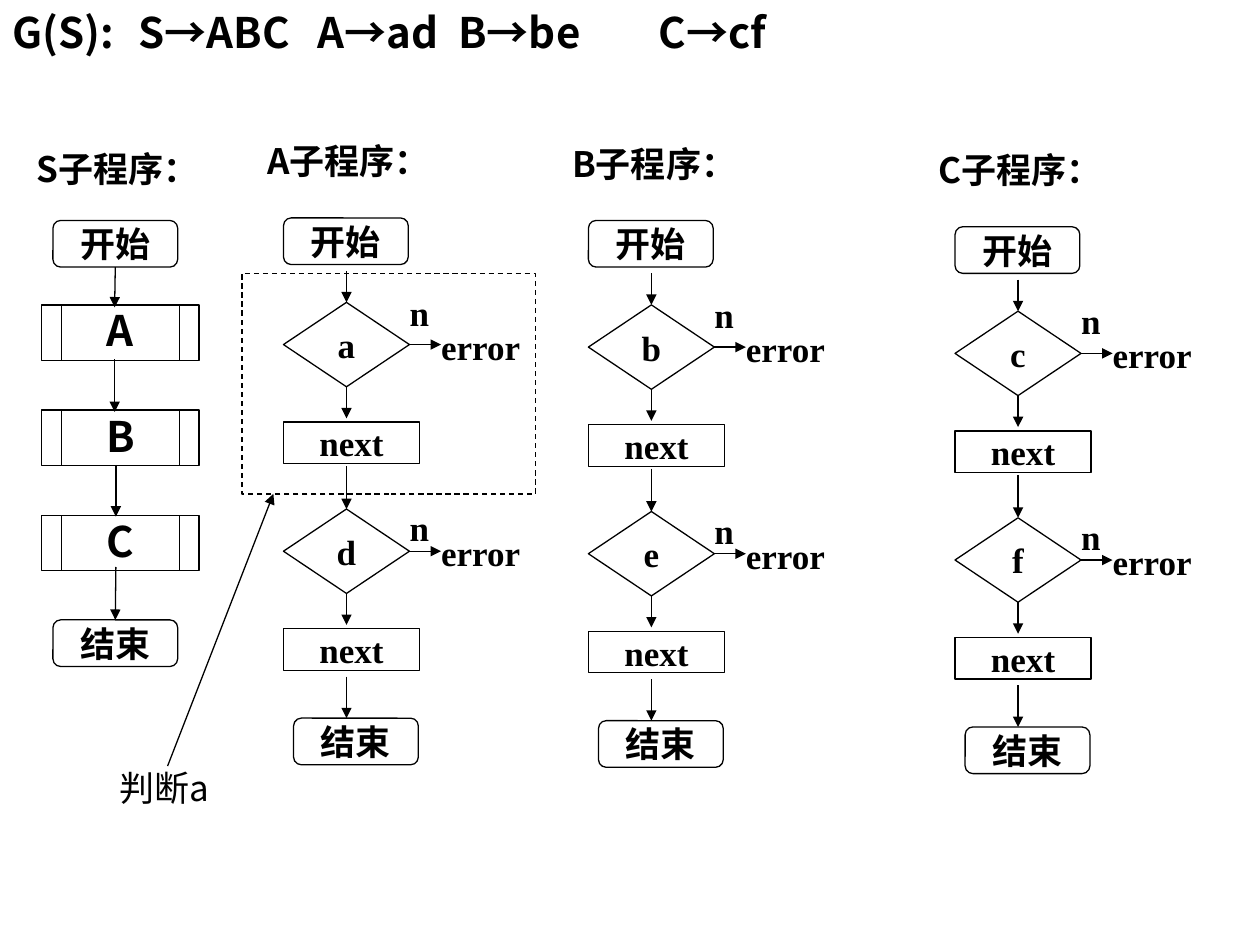
"""Build a slide of recursive-descent flowcharts for grammar G(S)."""
from lxml import etree
from pptx import Presentation
from pptx.dml.color import RGBColor
from pptx.enum.dml import MSO_LINE
from pptx.enum.shapes import MSO_CONNECTOR, MSO_SHAPE
from pptx.enum.text import MSO_ANCHOR, PP_ALIGN
from pptx.oxml.ns import qn
from pptx.util import Inches, Pt

ROUND = MSO_SHAPE.FLOWCHART_ALTERNATE_PROCESS
CALL = MSO_SHAPE.FLOWCHART_PREDEFINED_PROCESS
TEST = MSO_SHAPE.FLOWCHART_DECISION
STEP = MSO_SHAPE.FLOWCHART_PROCESS
RECT = MSO_SHAPE.RECTANGLE
LINE = MSO_CONNECTOR.STRAIGHT
DASH = MSO_LINE.DASH
MID, TOP = MSO_ANCHOR.MIDDLE, MSO_ANCHOR.TOP
MIDDLE, LEFT = PP_ALIGN.CENTER, PP_ALIGN.LEFT
DOWN, RIGHT = 2, 3
COLORS = {"ink": "000000"}
INK = RGBColor.from_string(COLORS["ink"])
SANS, SERIF = "Noto Sans CJK SC", "Times New Roman"

deck = Presentation()
deck.slide_width, deck.slide_height = Inches(10), Inches(7.5)
slide = deck.slides.add_slide(deck.slide_layouts[6])
shapes = slide.shapes


def put(kind, x, y, w, h, text="", face=SERIF, size=20, bold=True, pad=(0, 0, 0, 0), tabs=()):
    """Add a flowchart shape, or a text box when kind is None."""
    place = [Inches(v) for v in (x, y, w, h)]
    if kind is None:
        box = shapes.add_textbox(*place)
    else:
        box = shapes.add_shape(kind, *place)
        box.shadow.inherit = False
        box.fill.background()
        box.line.color.rgb = INK
        box.line.width = Pt(0.75)
    frame = box.text_frame
    look = {"word_wrap": True, "vertical_anchor": MID if kind else TOP}
    sides = ("margin_left", "margin_top", "margin_right", "margin_bottom")
    look.update(zip(sides, map(Inches, pad)))
    for name, value in look.items():
        setattr(frame, name, value)
    if text:
        para = frame.paragraphs[0]
        para.alignment = MIDDLE if kind else LEFT
        if tabs:
            stops = etree.SubElement(para._p.get_or_add_pPr(), qn("a:tabLst"))
            for stop in tabs:
                etree.SubElement(stops, qn("a:tab"), pos=str(Inches(stop)), algn="l")
        run = para.add_run()
        run.text = text
        for name, value in {"name": face, "size": Pt(size), "bold": bold}.items():
            setattr(run.font, name, value)
        run.font.color.rgb = INK
        etree.SubElement(run._r.get_or_add_rPr(), qn("a:ea"), typeface=SANS)
    return box


def arrow(x1, y1, x2, y2, head=None, tail=None, side=DOWN):
    """Draw an arrow, joined to the side of head and the top of tail."""
    link = shapes.add_connector(LINE, *[Inches(v) for v in (x1, y1, x2, y2)])
    link.line.color.rgb = INK
    link.line.width = Pt(0.75)
    etree.SubElement(link.line._get_or_add_ln(), qn("a:tailEnd"), type="triangle")
    etree.SubElement(link._element.spPr, qn("a:effectLst"))
    if head:
        link.begin_connect(head, side)
    if tail:
        link.end_connect(tail, 0)


put(None, 0, 0, 9.5, 0.92, "G(S):\tS→ABC\tA→ad\tB→be\tC→cf", SANS, 24,
    pad=(0.1, 0.05, 0.1, 0.05), tabs=(1, 2.42, 3.54, 5.13))

put(None, 0.29, 1.17, 1.35, 0.33, "S子程序：", SANS)
start = put(ROUND, 0.42, 1.75, 0.99, 0.37, "开始", SANS)
end = put(ROUND, 0.42, 4.92, 0.99, 0.37, "结束", SANS)
for i, name in enumerate("ABC"):
    put(CALL, 0.33, 2.42 + i * 0.835, 1.25, 0.44, name, SANS, 24, pad=(0, 0, 0, 0.04))
arrow(0.91, 2.12, 0.91, 2.44, head=start)
arrow(0.91, 2.85, 0.91, 3.27)
arrow(0.92, 3.69, 0.92, 4.1)
arrow(0.92, 4.5, 0.92, 4.92, tail=end)

columns = (("A", "ad", 2.25, 1.73), ("B", "be", 4.67, 1.75), ("C", "cf", 7.58, 1.8))
for name, marks, x, y in columns:
    mid = x + 0.5
    put(None, x - 0.13, y - 0.62, 1.35, 0.33, name + "子程序：", SANS)
    put(ROUND, x, y, 0.99, 0.37, "开始")
    put(ROUND, x + 0.08, y + 3.97, 0.99, 0.37, "结束")
    tests = []
    for mark, gap, rise in zip(marks, (0.67, 2.31), (0.09, 0.02)):
        top = y + gap
        test = put(TEST, x, top, 1, 0.67, mark)
        tests.append(test)
        put(STEP, x, top + 0.95, 1.08, 0.33, "next")
        put(None, x + 1, top - rise, 0.18, 0.33, "n")
        put(None, x + 1.25, top + 0.18, 0.65, 0.33, "error")
        arrow(mid, top + 0.67, mid, top + 0.92, head=test)
        arrow(x + 1, top + 0.33, x + 1.25, top + 0.335, head=test, side=RIGHT)
    arrow(mid, y + 0.42, mid, y + 0.67, tail=tests[0])
    arrow(mid, y + 1.97, mid, y + 2.31, tail=tests[1])
    arrow(mid, y + 3.64, mid, y + 3.97)

put(RECT, 1.92, 2.17, 2.33, 1.75).line.dash_style = DASH
arrow(1.33, 6.08, 2.17, 3.92)
put(None, 0.95, 6.08, 0.85, 0.33, "判断a", SANS, bold=False)

deck.save("out.pptx")
